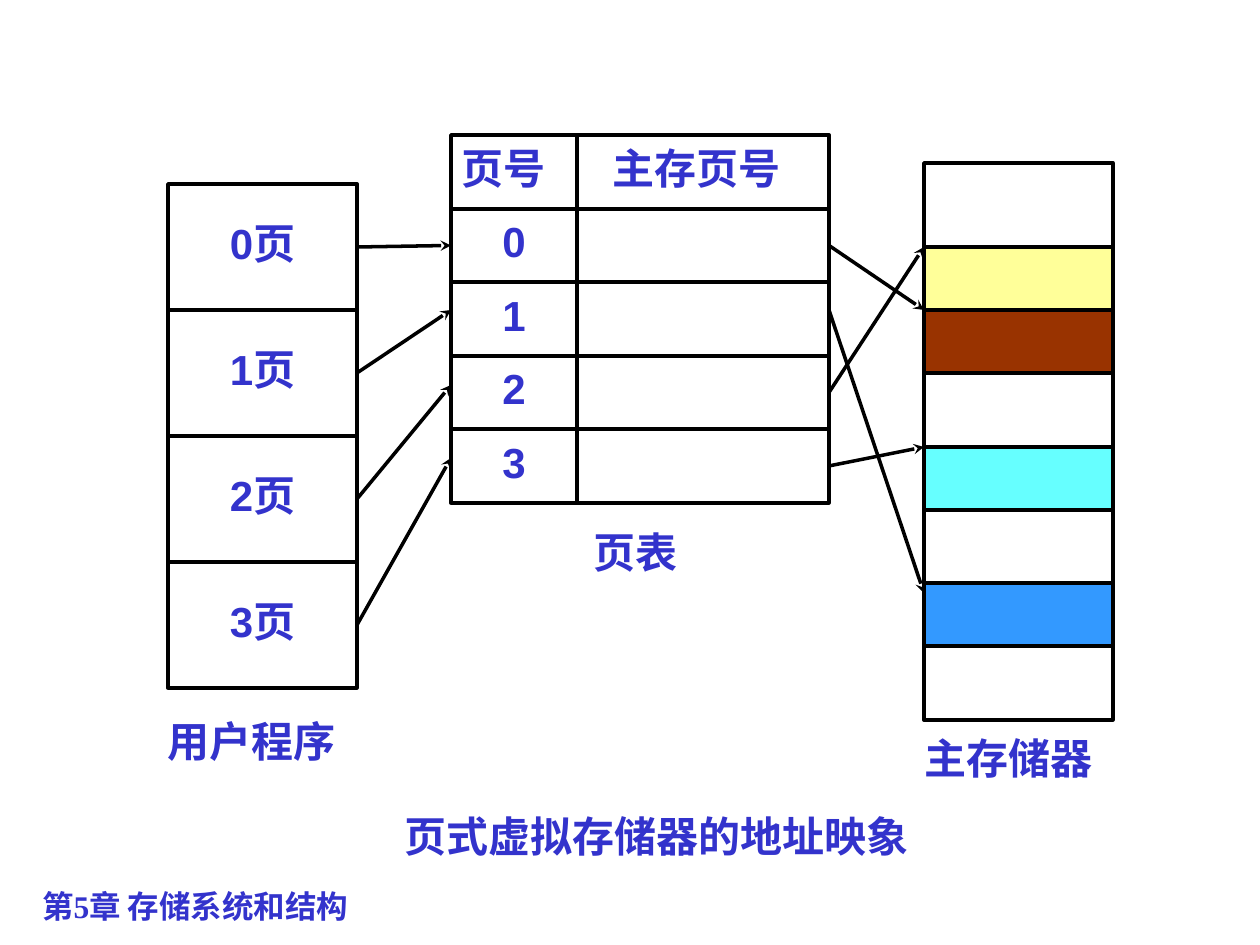
from dataclasses import dataclass
from itertools import accumulate
from typing import Optional

from lxml.etree import SubElement
from pptx import Presentation
from pptx.dml.color import RGBColor
from pptx.enum.shapes import MSO_CONNECTOR, MSO_SHAPE
from pptx.enum.text import MSO_ANCHOR, MSO_AUTO_SIZE, PP_ALIGN
from pptx.oxml.ns import qn
from pptx.util import Emu, Pt

PX_PER_INCH = 126
LEFT_SIDE, RIGHT_SIDE = 1, 3


@dataclass(frozen=True)
class Theme:
    text: str = "3333CC"
    line: str = "000000"
    yellow: str = "FFFF99"
    brown: str = "993300"
    cyan: str = "66FFFF"
    blue: str = "3399FF"
    font: str = "Arial"
    footer_font: str = "Times New Roman"
    label_size: int = 24
    footer_size: int = 18
    line_width: int = 2


@dataclass(frozen=True)
class Area:
    left: int
    top: int
    width: int
    height: int


@dataclass(frozen=True)
class Cell:
    area: Area
    text: str = ""
    fill: Optional[str] = None
    shift: int = 0  # how far the text sits left of centre


@dataclass(frozen=True)
class End:
    """An arrow end: a point, or the middle of a box side."""
    x: int = 0
    y: int = 0
    box: Optional[object] = None
    side: int = LEFT_SIDE


THEME = Theme()


def px(value: int) -> Emu:
    return Emu(round(value * 914400 / PX_PER_INCH))


def place(shape, area: Area) -> None:
    shape.left, shape.top = px(area.left), px(area.top)
    shape.width, shape.height = px(area.width), px(area.height)


def write(shape, text: str, *, size: int = THEME.label_size, font: str = THEME.font,
          align=PP_ALIGN.CENTER, anchor=MSO_ANCHOR.MIDDLE,
          spacing: float = 0.8, shift: int = 0) -> None:
    frame = shape.text_frame
    frame.auto_size = MSO_AUTO_SIZE.NONE
    frame.word_wrap = True
    frame.vertical_anchor = anchor
    frame.margin_left, frame.margin_right = px(10), px(10 + 2 * shift)
    frame.margin_top = frame.margin_bottom = px(5)
    para = frame.paragraphs[0]
    para.alignment, para.line_spacing = align, spacing
    span = para.add_run()
    span.text = text
    span.font.name, span.font.size, span.font.bold = font, Pt(size), True
    span.font.color.rgb = RGBColor.from_string(THEME.text)


def draw_cell(page, cell: Cell):
    area = cell.area
    box = page.shapes.add_shape(MSO_SHAPE.RECTANGLE, px(area.left), px(area.top),
                                px(area.width), px(area.height))
    box.shadow.inherit = False
    if cell.fill:
        box.fill.solid()
        box.fill.fore_color.rgb = RGBColor.from_string(cell.fill)
    else:
        box.fill.background()
    box.line.color.rgb = RGBColor.from_string(THEME.line)
    box.line.width = Pt(THEME.line_width)
    if cell.text:
        write(box, cell.text, shift=cell.shift)
    return box


def draw_label(page, area: Area, text: str, **text_format) -> None:
    box = page.shapes.add_textbox(0, 0, 0, 0)
    place(box, area)
    write(box, text, **text_format)


def draw_arrow(page, start: End, end: End) -> None:
    arrow = page.shapes.add_connector(MSO_CONNECTOR.STRAIGHT, px(start.x), px(start.y),
                                      px(end.x), px(end.y))
    if start.box is not None:
        arrow.begin_connect(start.box, start.side)
    if end.box is not None:
        arrow.end_connect(end.box, end.side)
    arrow.line.color.rgb = RGBColor.from_string(THEME.line)
    arrow.line.width = Pt(THEME.line_width)
    SubElement(arrow.line._get_or_add_ln(), qn("a:tailEnd"), type="stealth")
    SubElement(arrow._element.spPr, qn("a:effectLst"))


def main() -> None:
    deck = Presentation()
    deck.slide_width, deck.slide_height = px(1260), px(945)
    page = deck.slides.add_slide(deck.slide_layouts[5])

    # Title below the diagram
    place(page.shapes.title, Area(305, 804, 703, 73))
    write(page.shapes.title, "页式虚拟存储器的地址映象")

    # User program: four equal pages
    program = [draw_cell(page, Cell(Area(168, 184 + 126 * number, 189, 126), f"{number}页"))
               for number in range(4)]

    # Page table: a header and four rows
    table_left, table_right, split = 451, 829, 577
    edges = [round(135 + 368 * row / 5) for row in range(6)]
    rows = [("页号", "主存页号"), *((str(number), "") for number in range(4))]
    numbers, frames = [], []
    for (number, frame), top, bottom in zip(rows, edges, edges[1:]):
        header = bool(frame)
        height = bottom - top
        numbers.append(draw_cell(page, Cell(
            Area(table_left, top, split - table_left, height), number,
            shift=10 if header else 0)))
        frames.append(draw_cell(page, Cell(
            Area(split, top, table_right - split, height), frame,
            shift=6 if header else 0)))

    # Main memory: blocks stacked from the top
    memory_left = 924
    heights = [84, 63, 63, 74, 63, 73, 63, 74]
    fills = [None, THEME.yellow, THEME.brown, None, THEME.cyan, None, THEME.blue, None]
    for top, height, fill in zip(accumulate(heights, initial=163), heights, fills):
        draw_cell(page, Cell(Area(memory_left, top, 189, height), fill=fill))

    # Arrows from program pages to the page table
    row_ends = [End(box=numbers[1]), *(End(table_left, y) for y in (310, 385, 458))]
    for box, end in zip(program, row_ends):
        draw_arrow(page, End(box=box, side=RIGHT_SIDE), end)

    # Arrows from the page table to memory
    row_starts = [End(box=box, side=RIGHT_SIDE) for box in frames[1:]]
    row_starts[1] = End(table_right, 310)
    for start, y in zip(row_starts, (310, 593, 247, 447)):
        draw_arrow(page, start, End(memory_left, y))

    # Captions and footer
    draw_label(page, Area(136, 709, 252, 73), "用户程序", shift=10)
    draw_label(page, Area(903, 731, 231, 63), "主存储器", shift=10)
    draw_label(page, Area(514, 520, 252, 73), "页表", shift=4)
    draw_label(page, Area(32, 882, 735, 32), "第5章 存储系统和结构",
               size=THEME.footer_size, font=THEME.footer_font, align=PP_ALIGN.LEFT,
               anchor=MSO_ANCHOR.TOP, spacing=1.0)

    deck.save("out.pptx")


if __name__ == "__main__":
    main()
